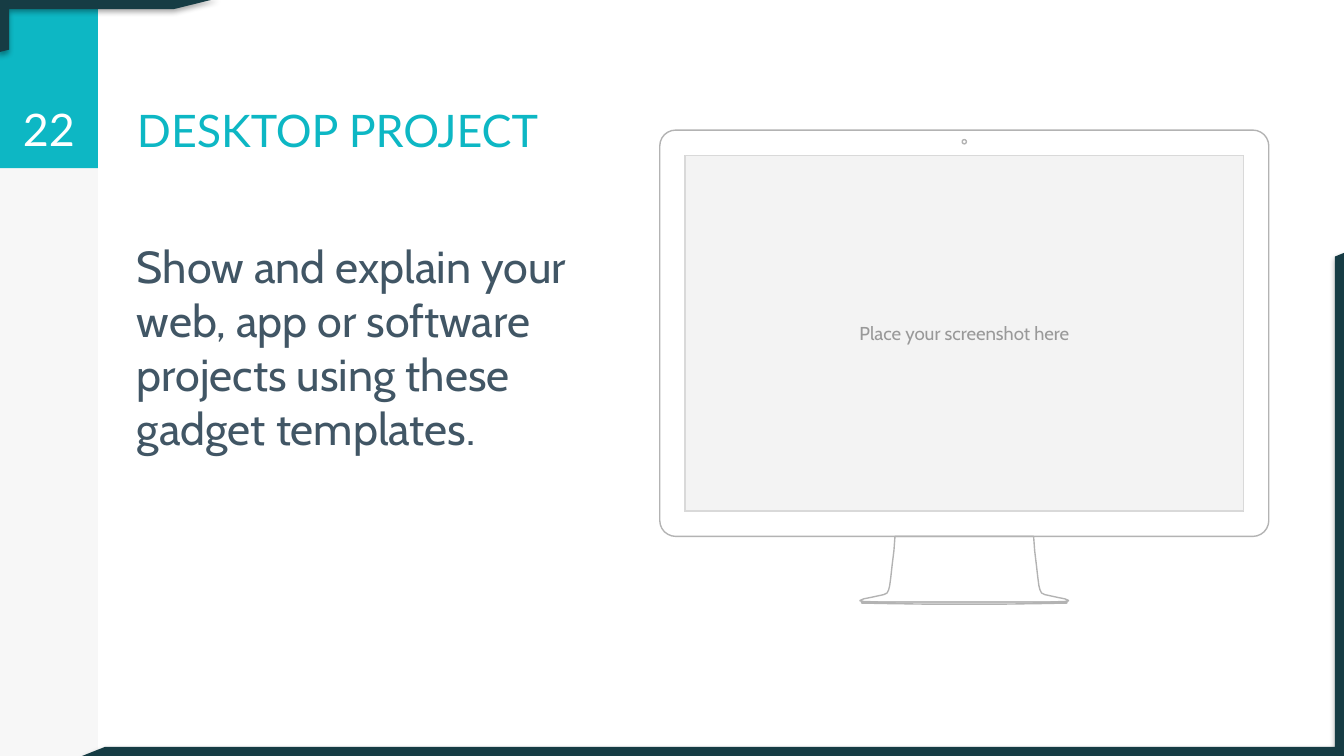
from dataclasses import dataclass
from math import cos, pi, sin

from lxml import etree
from pptx import Presentation
from pptx.dml.color import RGBColor
from pptx.enum.shapes import MSO_SHAPE
from pptx.enum.text import MSO_ANCHOR, PP_ALIGN
from pptx.oxml import parse_xml
from pptx.oxml.ns import nsdecls, qn
from pptx.util import Cm, Pt

RECTANGLE, HALF_FRAME = MSO_SHAPE.RECTANGLE, MSO_SHAPE.HALF_FRAME
TOP, MIDDLE, BOTTOM = MSO_ANCHOR.TOP, MSO_ANCHOR.MIDDLE, MSO_ANCHOR.BOTTOM
LEFT, CENTER = PP_ALIGN.LEFT, PP_ALIGN.CENTER


@dataclass(frozen=True)
class Theme:
    """Colours, fonts and type sizes of the slide."""
    accent: str = "0DB7C4"
    frame: str = "163C44"
    body: str = "415665"
    white: str = "FFFFFF"
    black: str = "000000"
    outline: str = "B3B3B3"
    screen: str = "F3F3F3"
    screen_edge: str = "D9D9D9"
    hint: str = "999999"
    heading_font: str = "Lato"
    body_font: str = "Cabin"
    large: int = 24
    small: int = 10
    line: float = 0.75


THEME = Theme()
WIDTH, HEIGHT = 25.4, 14.29
SIDEBAR = 1.85
HEADER = 3.18


def set_values(target, values):
    """Set each attribute named in a dict of format values."""
    for name, value in values.items():
        setattr(target, name, value)


def paint(shape, fill, line=None):
    """Give a shape a flat fill, an optional outline and no shadow."""
    shape.shadow.inherit = False
    shape.fill.solid()
    shape.fill.fore_color.rgb = RGBColor.from_string(fill)
    if line:
        shape.line.color.rgb = RGBColor.from_string(line)
        shape.line.width = Pt(THEME.line)
    else:
        shape.line.fill.background()


def add_block(slide, kind, box, fill, line=None):
    """Add a painted preset shape in a box given in centimetres."""
    shape = slide.shapes.add_shape(kind, *map(Cm, box))
    paint(shape, fill, line)
    return shape


def write(shape, text, font, size, color, anchor=TOP, align=LEFT, before=0):
    """Write one formatted paragraph into a shape."""
    frame = shape.text_frame
    margins = dict.fromkeys(
        ("margin_left", "margin_top", "margin_right", "margin_bottom"), Cm(0.25))
    set_values(frame, {"word_wrap": True, "vertical_anchor": anchor, **margins})
    paragraph = frame.paragraphs[0]
    set_values(paragraph, {"alignment": align, "space_before": Pt(before)})
    run = paragraph.add_run()
    run.text = text
    set_values(run.font, {"name": font, "size": Pt(size)})
    run.font.color.rgb = RGBColor.from_string(color)


def add_text(slide, box, *content, **layout):
    """Add a text box with one paragraph."""
    write(slide.shapes.add_textbox(*map(Cm, box)), *content, **layout)


def add_half_frame(slide, box, thickness, rotation=0):
    """Add a corner frame with a soft shadow below it."""
    shape = add_block(slide, HALF_FRAME, box, THEME.frame)
    shape.rotation = rotation
    for index in range(2):
        shape.adjustments[index] = thickness
    effects = shape._element.spPr.find(qn("a:effectLst"))
    effects.append(parse_xml(
        f'<a:outerShdw {nsdecls("a")} blurRad="{Pt(3.1)}" dist="{Pt(1.8)}" '
        f'dir="5400000" algn="t" rotWithShape="0"><a:srgbClr val="{THEME.black}">'
        '<a:alpha val="35000"/></a:srgbClr></a:outerShdw>'))


def add_background(slide, width, height):
    """Add the sidebar, the number panel and the two corner frames."""
    sidebar = add_block(slide, RECTANGLE, (0, 0, SIDEBAR, height), THEME.black)
    color = sidebar._element.spPr.find(qn("a:solidFill"))[0]
    etree.SubElement(color, qn("a:alpha")).set("val", "3000")
    add_block(slide, RECTANGLE, (0, 0, SIDEBAR, HEADER), THEME.accent)
    add_half_frame(slide, (-0.03, -0.03, 4.14, 1.02), 0.2)
    left, top = 1.55, 4.78
    add_half_frame(slide, (left, top, width - left, height - top), 0.018, 180)


def arc(x, y, radius, start, end, steps):
    """Return points along an arc, with angles in quarter turns."""
    angles = (pi / 2 * (start + (end - start) * step / steps)
              for step in range(steps + 1))
    return [(x + radius * cos(angle), y + radius * sin(angle)) for angle in angles]


def mirrored(half, center):
    """Return a closed outline from the offsets of its right half."""
    return ([(center + x, y) for x, y in half]
            + [(center - x, y) for x, y in reversed(half)])


def add_monitor(slide, box):
    """Add a desktop monitor outline and its screen panel."""
    left, top, width, height = box
    center, case, bezel, radius = width / 2, height - 1.28, 0.48, 0.3
    corners = ((width - radius, case - radius), (radius, case - radius),
               (radius, radius), (width - radius, radius))
    body = [point for turn, (x, y) in enumerate(corners)
            for point in arc(x, y, radius, turn, turn + 1, 6)]
    stand = [(1.31, case), (1.33, 7.95), (1.36, 8.2), (1.39, 8.46), (1.41, 8.61),
             (1.43, 8.69), (1.46, 8.75), (1.52, 8.78), (1.75, 8.83), (1.9, 8.86),
             (1.97, 8.89), (1.97, 8.9), (1.9, 8.91), (1.6, 8.92), (1.23, 8.92)]
    base = [(1.6, 8.92), (1.94, 8.92), (1.94, 8.94), (1.5, 8.95), (0.74, height)]
    camera = arc(center, 0.22, 0.04, 0, 4, 12)
    opening = mirrored([(center - bezel, bezel), (center - bezel, case - bezel)], center)
    outlines = [camera, opening, body, mirrored(stand, center), mirrored(base, center)]

    builder = None
    for outline in outlines:
        first, *others = [(Cm(x), Cm(y)) for x, y in outline]
        if builder is None:
            builder = slide.shapes.build_freeform(*first)
        else:
            builder.move_to(*first)
        builder.add_line_segments(others, close=True)
    paint(builder.convert_to_shape(Cm(left), Cm(top)), THEME.white, THEME.outline)

    screen = add_block(
        slide, RECTANGLE,
        (left + bezel, top + bezel, width - 2 * bezel, case - 2 * bezel),
        THEME.screen, THEME.screen_edge)
    write(screen, "Place your screenshot here", THEME.body_font, THEME.small,
          THEME.hint, anchor=MIDDLE, align=CENTER)


def add_copy(slide, box):
    """Add the heading and the paragraph beneath it."""
    left, top, width, height = box
    add_text(slide, (left, top, width, HEADER), "DESKTOP PROJECT",
             THEME.heading_font, THEME.large, THEME.accent, anchor=BOTTOM)
    body_top = 4.24
    add_text(slide, (left, top + body_top, width, height - body_top),
             "Show and explain your web, app or software projects "
             "using these gadget templates.",
             THEME.body_font, THEME.large, THEME.body, before=6)


def build():
    """Build and save the presentation."""
    presentation = Presentation()
    set_values(presentation, {"slide_width": Cm(WIDTH), "slide_height": Cm(HEIGHT)})
    slide = presentation.slides.add_slide(presentation.slide_layouts[6])
    add_background(slide, WIDTH, HEIGHT)
    add_monitor(slide, (12.47, 2.46, 11.51, 8.96))
    add_copy(slide, (2.34, 0.03, 9.88, 13.66))
    add_text(slide, (0, 0, SIDEBAR, HEADER), "22", THEME.heading_font,
             THEME.large, THEME.white, anchor=BOTTOM, align=CENTER)
    presentation.save("out.pptx")


build()
